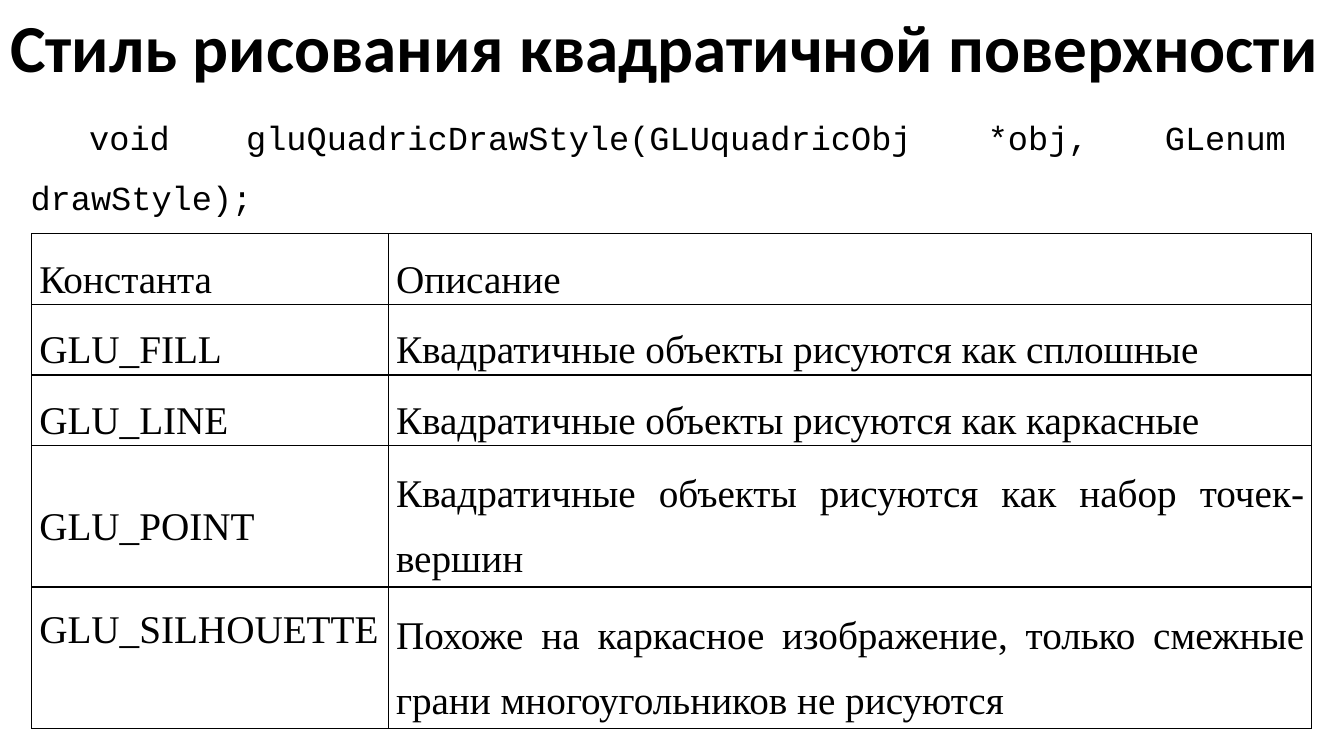
from dataclasses import dataclass

from lxml.etree import SubElement
from pptx import Presentation
from pptx.dml.color import RGBColor
from pptx.enum.text import MSO_ANCHOR as Anchor, MSO_AUTO_SIZE as AutoSize, PP_ALIGN as Align
from pptx.oxml.ns import qn
from pptx.util import Cm, Pt


@dataclass(frozen=True)
class Theme:
    ink: RGBColor = RGBColor(0, 0, 0)
    paper: RGBColor = RGBColor(255, 255, 255)
    title_font: str = "Calibri"
    code_font: str = "Courier New"
    table_font: str = "Times New Roman"
    title_size: int = 48
    code_size: int = 24
    table_size: int = 28
    border: int = 1
    spacing: float = 1.5


THEME = Theme()
TITLE = "Стиль рисования квадратичной поверхности"
PROTOTYPE = "void gluQuadricDrawStyle(GLUquadricObj *obj, GLenum drawStyle);"
STYLES = [
    ("Константа", "Описание"),
    ("GLU_FILL", "Квадратичные объекты рисуются как сплошные"),
    ("GLU_LINE", "Квадратичные объекты рисуются как каркасные"),
    ("GLU_POINT", "Квадратичные объекты рисуются как набор точек-вершин"),
    ("GLU_SILHOUETTE", "Похоже на каркасное изображение, только смежные грани "
                       "многоугольников не рисуются"),
]
COLUMN_WIDTHS = (8.99, 23.27)
LINE_HEIGHT = 1.78
LINES_PER_ROW = (1, 1, 1, 2, 2)


def write(frame, text, font, size, align, bold=False, spacing=None):
    """Fill a text frame with one formatted paragraph."""
    frame.word_wrap = True
    frame.text = text
    para = frame.paragraphs[0]
    para.alignment = align
    para.line_spacing = spacing
    for span in para.runs:
        span.font.name = font
        span.font.size = Pt(size)
        span.font.bold = bold
        span.font.color.rgb = THEME.ink
    return para


def add_title(page, text):
    title = page.shapes.title
    title.left, title.top, title.width, title.height = Cm(0), Cm(0), Cm(33.87), Cm(2.31)
    frame = title.text_frame
    write(frame, text, THEME.title_font, THEME.title_size, Align.LEFT, bold=True)
    frame.vertical_anchor = Anchor.TOP
    frame.auto_size = AutoSize.SHAPE_TO_FIT_TEXT


def add_prototype(page, text):
    box = page.shapes.add_textbox(Cm(0.52), Cm(2.31), Cm(32.13), Cm(3.2))
    frame = box.text_frame
    para = write(frame, text, THEME.code_font, THEME.code_size, Align.JUSTIFY,
                 spacing=THEME.spacing)
    para._p.get_or_add_pPr().set("indent", str(Cm(1.48)))
    frame.auto_size = AutoSize.SHAPE_TO_FIT_TEXT


def set_borders(cell):
    """Draw a thin line on all four sides; lines must precede the fill."""
    properties = cell._tc.get_or_add_tcPr()
    for place, side in enumerate(("lnL", "lnR", "lnT", "lnB")):
        line = SubElement(properties, qn(f"a:{side}"), w=str(Pt(THEME.border)))
        fill = SubElement(line, qn("a:solidFill"))
        SubElement(fill, qn("a:srgbClr"), val=str(THEME.ink))
        properties.insert(place, line)


def fill_cell(cell, text):
    write(cell.text_frame, text, THEME.table_font, THEME.table_size, Align.JUSTIFY,
          spacing=THEME.spacing)
    cell.margin_left = cell.margin_right = Cm(0.19)
    cell.margin_top = cell.margin_bottom = Cm(0)
    cell.vertical_anchor = Anchor.MIDDLE
    cell.fill.background()
    set_borders(cell)


def add_style_table(page, rows):
    frame = page.shapes.add_table(len(rows), len(COLUMN_WIDTHS), Cm(0.8), Cm(5.89),
                                  Cm(sum(COLUMN_WIDTHS)),
                                  Cm(LINE_HEIGHT * sum(LINES_PER_ROW)))
    table = frame.table
    table.first_row = table.horz_banding = False
    for column, width in zip(table.columns, COLUMN_WIDTHS):
        column.width = Cm(width)
    for row, lines, texts in zip(table.rows, LINES_PER_ROW, rows):
        row.height = Cm(LINE_HEIGHT * lines)
        for cell, text in zip(row.cells, texts):
            fill_cell(cell, text)
    # The last constant sits at the top of its row
    table.cell(len(rows) - 1, 0).vertical_anchor = Anchor.TOP


def main():
    deck = Presentation()
    deck.slide_width, deck.slide_height = Cm(33.87), Cm(19.05)
    page = deck.slides.add_slide(deck.slide_layouts.get_by_name("Title Only"))
    page.background.fill.solid()
    page.background.fill.fore_color.rgb = THEME.paper

    add_title(page, TITLE)
    add_prototype(page, PROTOTYPE)
    add_style_table(page, STYLES)
    deck.save("out.pptx")


main()
